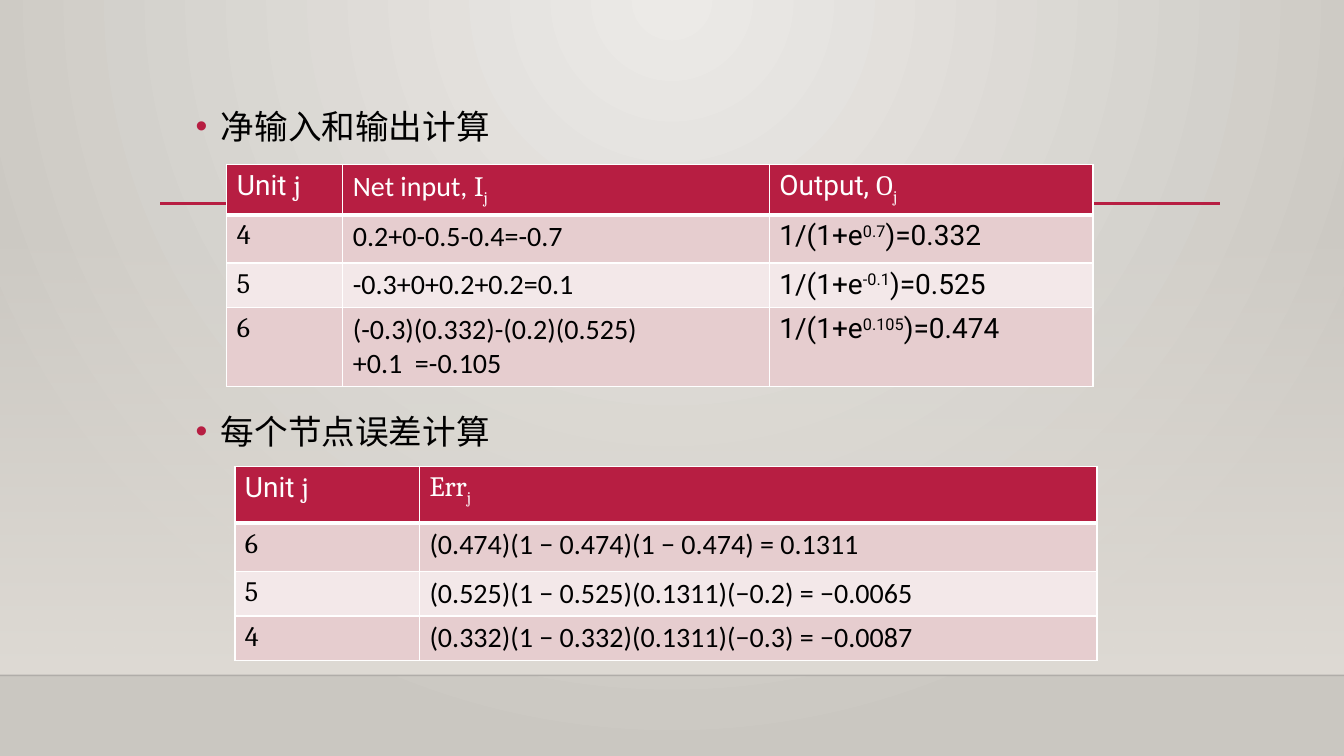
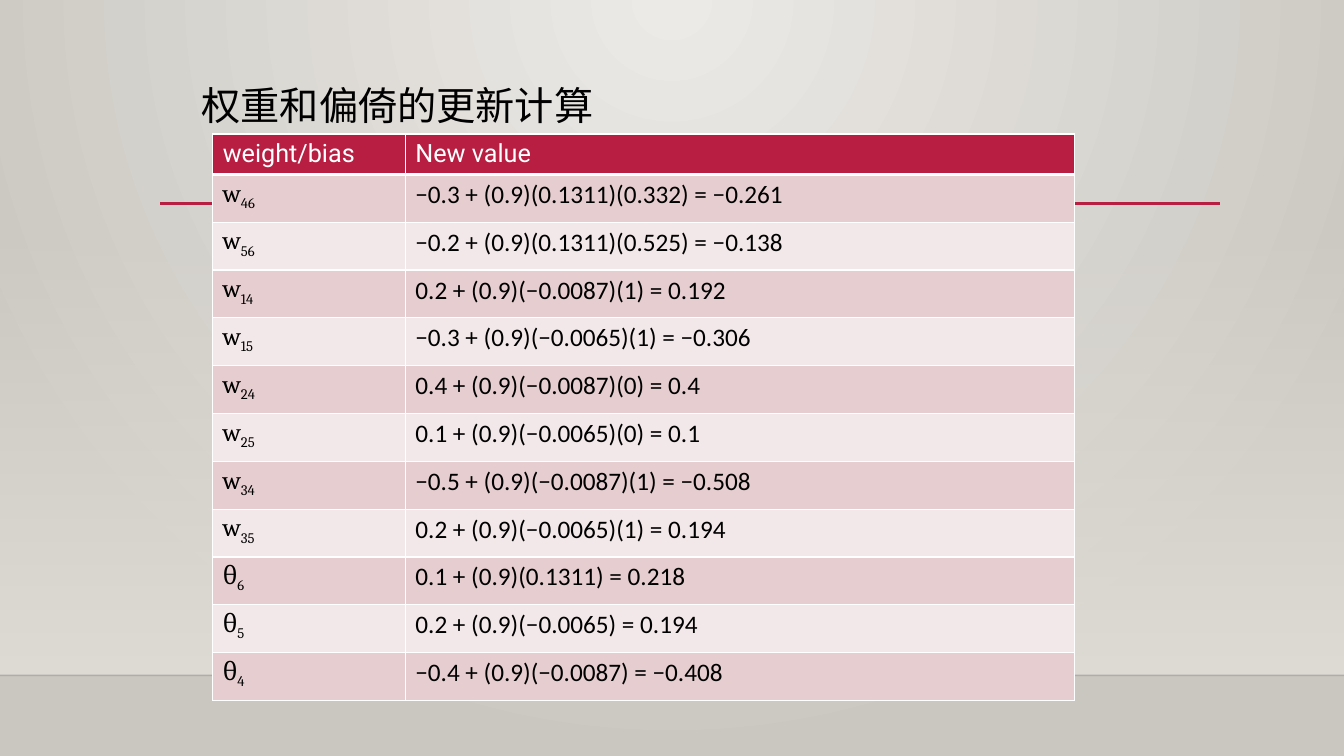
from collections import namedtuple

from lxml import etree
from pptx import Presentation
from pptx.dml.color import RGBColor
from pptx.enum import shapes, text
from pptx.oxml import ns
from pptx.util import Inches, Pt

CRIMSON = RGBColor(0xB7, 0x1E, 0x42)
PINK = RGBColor(0xE6, 0xCD, 0xCF)
PALE_PINK = RGBColor(0xF3, 0xE8, 0xE9)
WHITE = RGBColor(0xFF, 0xFF, 0xFF)
BLACK = RGBColor(0, 0, 0)
HORIZON = RGBColor(0, 0, 1)
LIGHT_STONE = RGBColor(0xEC, 0xEA, 0xE7)
DARK_STONE = RGBColor(0xCA, 0xC7, 0xC1)
WALL = RGBColor(0xDF, 0xDB, 0xD5)

SLIDE_WIDTH = Inches(13.33)
HORIZON_TOP = Inches(6.7)

Run = namedtuple("Run", "text font baseline", defaults=(0,))


def calibri(words):
    return [Run(words, "Calibri")]


def roboto(words):
    return [Run(words, "Roboto")]


def symbol(letter, subscript=""):
    runs = [Run(letter, "Cambria")]
    if subscript:
        runs.append(Run(subscript, "Cambria", -25000))
    return runs


def sigmoid(exponent, result):
    return [Run("1/(1+e", "Roboto"), Run(exponent, "Roboto", 30000),
            Run(f")={result}", "Roboto")]


def add_child(parent, tag, **attributes):
    return etree.SubElement(parent, ns.qn(tag), attributes)


def set_opacity(color_element, percent):
    add_child(color_element, "a:alpha", val=str(percent * 1000))


def set_gradient(fill, *colors):
    fill.gradient()
    for stop, color, position in zip(fill.gradient_stops, colors, (0, 1)):
        stop.color.rgb = color
        stop.position = position


def first(element, tag):
    return next(element.iter(ns.qn(tag)))


def set_background(master):
    """Light that spreads in circles from the top centre."""
    set_gradient(master.background.fill, LIGHT_STONE, DARK_STONE)
    gradient = first(master.element, "a:gradFill")
    gradient.remove(first(gradient, "a:lin"))
    circle = add_child(gradient, "a:path", path="circle")
    add_child(circle, "a:fillToRect", l="43000", t="0", r="43000", b="100000")


def add_wall(slide):
    wall = slide.shapes.add_shape(
        shapes.MSO_SHAPE.RECTANGLE, 0, Inches(2.21), SLIDE_WIDTH, Inches(4.49))
    set_gradient(wall.fill, WALL, WALL)
    wall.fill.gradient_angle = 270
    set_opacity(first(wall.element, "a:srgbClr"), 0)
    wall.line.fill.background()
    wall.shadow.inherit = False
    return wall


def add_rule(slide, left, right, top, color, width):
    rule = slide.shapes.add_connector(
        shapes.MSO_CONNECTOR.STRAIGHT, left, top, right, top)
    rule.line.color.rgb = color
    rule.line.width = Pt(width)
    add_child(first(rule.element, "p:spPr"), "a:effectLst")
    return rule


def decorate_master(master, slide):
    """Draw the shared decoration on a slide and move it to the master."""
    set_background(master)
    wall = add_wall(slide)
    horizon = add_rule(slide, 0, SLIDE_WIDTH, HORIZON_TOP, HORIZON, 1)
    set_opacity(first(horizon.element, "a:srgbClr"), 20)
    title_rule = add_rule(slide, Inches(1.59), Inches(12.1), Inches(2.02),
                          CRIMSON, 2.5)
    for order, part in enumerate((wall, horizon, title_rule)):
        first(part.element, "p:cNvPr").set("id", str(100 + order))
        master.shapes.element.insert(2 + order, part.element)


def add_runs(paragraph, runs, size, color):
    for words, font, baseline in runs:
        run = paragraph.add_run()
        run.text = words
        run.font.name = font
        run.font.size = Pt(size)
        run.font.bold = False
        run.font.color.rgb = color
        if baseline:
            run.font._element.set("baseline", str(baseline))


def place(placeholder, left, top, width, height, anchor):
    placeholder.left, placeholder.top = Inches(left), Inches(top)
    placeholder.width, placeholder.height = Inches(width), Inches(height)
    placeholder.text_frame.word_wrap = True
    placeholder.text_frame.auto_size = text.MSO_AUTO_SIZE.NONE
    placeholder.text_frame.vertical_anchor = anchor


def fill_title(title, words):
    place(title, 1.9, 0.66, 9.51, 0.67, text.MSO_ANCHOR.MIDDLE)
    paragraph = title.text_frame.paragraphs[0]
    paragraph.alignment = text.PP_ALIGN.LEFT
    paragraph.line_spacing = 1.2
    add_runs(paragraph, calibri(words), 28, BLACK)


def fill_captions(body, captions, gap):
    """Bulleted captions, with a gap in points that leaves room for a table."""
    place(body, 1.84, 0.92, 9.24, 5.58, text.MSO_ANCHOR.TOP)
    frame = body.text_frame
    for order, words in enumerate(captions):
        paragraph = frame.add_paragraph() if order else frame.paragraphs[0]
        properties = paragraph._p.get_or_add_pPr()
        properties.set("marL", str(Inches(0.25)))
        properties.set("indent", str(-Inches(0.25)))
        bullet_color = add_child(properties, "a:buClr")
        add_child(bullet_color, "a:srgbClr", val=str(CRIMSON))
        add_child(properties, "a:buFont", typeface="Arial")
        add_child(properties, "a:buChar", char="•")
        paragraph.line_spacing = 1.2
        paragraph.space_before = Pt(gap if order else 0)
        add_runs(paragraph, calibri(words), 24, BLACK)


def set_borders(cell, bottom_width):
    properties = cell._tc.get_or_add_tcPr()
    widths = {"a:lnL": 1, "a:lnR": 1, "a:lnT": 1, "a:lnB": bottom_width}
    for tag, width in widths.items():
        border = add_child(properties, tag, w=str(Pt(width)))
        add_child(add_child(border, "a:solidFill"), "a:srgbClr", val=str(WHITE))


def fill_cell(cell, runs, size, row_number):
    is_header = row_number == 0
    set_borders(cell, 3 if is_header else 1)
    cell.fill.solid()
    cell.fill.fore_color.rgb = (
        CRIMSON if is_header else PINK if row_number % 2 else PALE_PINK)
    color = WHITE if is_header else BLACK
    paragraph = cell.text_frame.paragraphs[0]
    for run in runs:
        for order, line in enumerate(run.text.split("\n")):
            if order:
                paragraph = cell.text_frame.add_paragraph()
            add_runs(paragraph, [run._replace(text=line)], size, color)


def add_grid(slide, left, top, widths, heights, rows, size):
    grid = slide.shapes.add_table(
        len(rows), len(widths), Inches(left), Inches(top),
        Inches(sum(widths)), Inches(sum(heights))).table
    for column, width in zip(grid.columns, widths):
        column.width = Inches(width)
    for row_number, (row, height, values) in enumerate(
            zip(grid.rows, heights, rows)):
        row.height = Inches(height)
        for cell, runs in zip(row.cells, values):
            fill_cell(cell, runs, size, row_number)


def build_calculation_slide(slide):
    title = slide.shapes.title
    title.element.getparent().remove(title.element)
    fill_captions(slide.placeholders[1],
                  ["净输入和输出计算", "每个节点误差计算"], 183)

    unit_header = roboto("Unit ") + symbol("j")
    outputs = [
        (unit_header, calibri("Net input, ") + symbol("I", "j"),
         roboto("Output, ") + symbol("O", "j")),
        (symbol("4"), calibri("0.2+0-0.5-0.4=-0.7"), sigmoid("0.7", "0.332")),
        (symbol("5"), calibri("-0.3+0+0.2+0.2=0.1"), sigmoid("-0.1", "0.525")),
        (symbol("6"), calibri("(-0.3)(0.332)-(0.2)(0.525)\n+0.1  =-0.105"),
         sigmoid("0.105", "0.474")),
    ]
    add_grid(slide, 2.25, 1.63, [1.15, 4.23, 3.21], [0.5, 0.48, 0.44, 0.78],
             outputs, 20)

    errors = [
        (unit_header, symbol("Err", "j")),
        (symbol("6"), calibri("(0.474)(1 − 0.474)(1 − 0.474) = 0.1311")),
        (symbol("5"), calibri("(0.525)(1 − 0.525)(0.1311)(−0.2) = −0.0065")),
        (symbol("4"), calibri("(0.332)(1 − 0.332)(0.1311)(−0.3) = −0.0087")),
    ]
    add_grid(slide, 2.33, 4.63, [1.83, 6.72], [0.56, 0.48, 0.44, 0.44],
             errors, 20)


def build_update_slide(slide):
    fill_title(slide.shapes.title, "权重和偏倚的更新计算")
    updates = [
        ("w", "46", "−0.3 + (0.9)(0.1311)(0.332) = −0.261"),
        ("w", "56", "−0.2 + (0.9)(0.1311)(0.525) = −0.138"),
        ("w", "14", "0.2 + (0.9)(−0.0087)(1) = 0.192"),
        ("w", "15", "−0.3 + (0.9)(−0.0065)(1) = −0.306"),
        ("w", "24", "0.4 + (0.9)(−0.0087)(0) = 0.4"),
        ("w", "25", "0.1 + (0.9)(−0.0065)(0) = 0.1"),
        ("w", "34", "−0.5 + (0.9)(−0.0087)(1) = −0.508"),
        ("w", "35", "0.2 + (0.9)(−0.0065)(1) = 0.194"),
        ("θ", "6", "0.1 + (0.9)(0.1311) = 0.218"),
        ("θ", "5", "0.2 + (0.9)(−0.0065) = 0.194"),
        ("θ", "4", "−0.4 + (0.9)(−0.0087) = −0.408"),
    ]
    rows = [(roboto("weight/bias"), roboto("New value"))]
    rows += [(symbol(letter, index), calibri(formula))
             for letter, index, formula in updates]
    row_height = 5.22 / len(updates)
    add_grid(slide, 2.11, 1.33, [1.91, 6.64],
             [0.4] + [row_height] * len(updates), rows, 18)


def main():
    deck = Presentation()
    deck.slide_width, deck.slide_height = SLIDE_WIDTH, Inches(7.5)
    calculation = deck.slides.add_slide(deck.slide_layouts[1])
    update = deck.slides.add_slide(deck.slide_layouts[5])
    decorate_master(deck.slide_master, calculation)
    build_calculation_slide(calculation)
    build_update_slide(update)
    deck.save("out.pptx")


if __name__ == "__main__":
    main()
